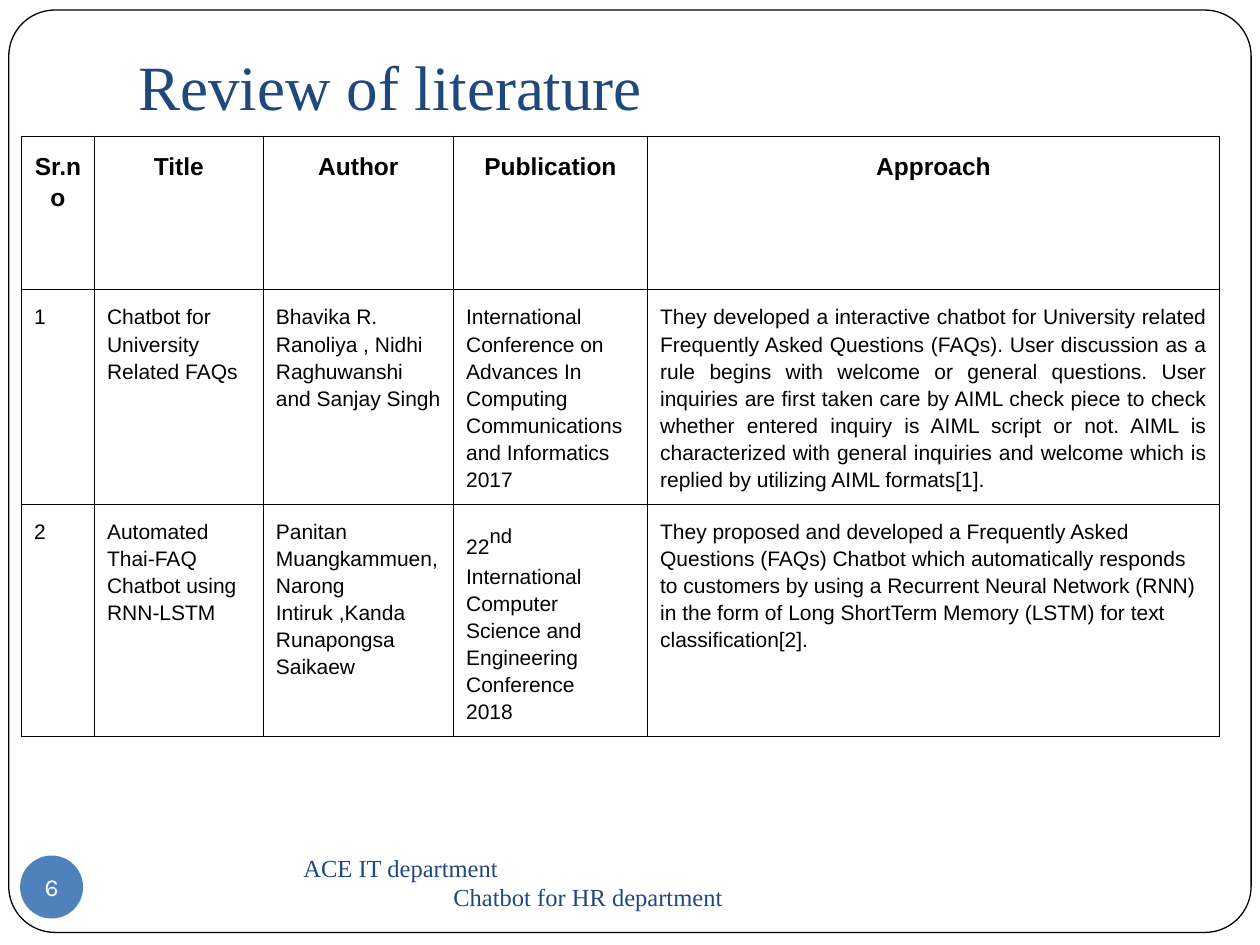
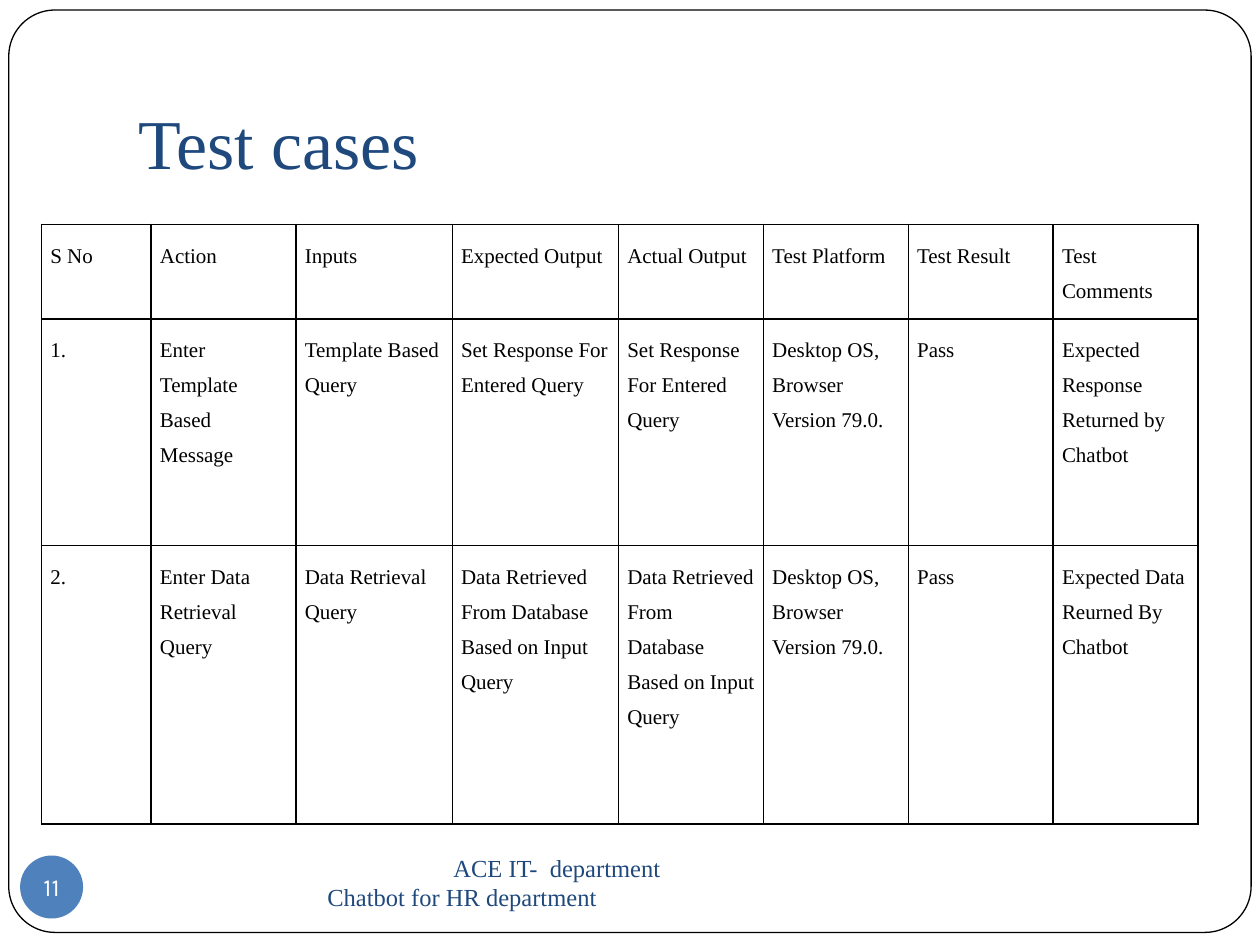
from lxml import etree
from pptx import Presentation
from pptx.dml.color import RGBColor
from pptx.enum.shapes import MSO_SHAPE
from pptx.enum.text import MSO_ANCHOR, MSO_AUTO_SIZE, PP_ALIGN
from pptx.oxml.ns import qn
from pptx.util import Inches, Pt

LEFT, CENTER, JUSTIFY = PP_ALIGN.LEFT, PP_ALIGN.CENTER, PP_ALIGN.JUSTIFY
TOP, MIDDLE, BOTTOM = MSO_ANCHOR.TOP, MSO_ANCHOR.MIDDLE, MSO_ANCHOR.BOTTOM
ROUNDED, OVAL = MSO_SHAPE.ROUNDED_RECTANGLE, MSO_SHAPE.OVAL
NO_AUTOFIT = MSO_AUTO_SIZE.NONE

COLORS = {"navy": "1F497D", "badge": "4F81BD", "black": "000000", "white": "FFFFFF"}
SERIF, SANS, BADGE_FONT = "Times New Roman", "Arial", "Karla"

FRAME_BOX = (0.07, 0.08, 9.86, 7.32)
FOOTER_BOX = (1.5, 6.75, 5.33, 0.5)
BADGE_BOX = (0.16, 6.79, 0.5, 0.5)

LITERATURE = {
    "widths": (0.58, 1.34, 1.51, 1.54, 4.54),
    "heights": (1.22, 1.42, 1.55),
    "rows": [
        ["Sr.no", "Title", "Author", "Publication", "Approach"],
        ["1", "Chatbot for University Related FAQs",
         "Bhavika R. Ranoliya , Nidhi Raghuwanshi and Sanjay Singh",
         "International Conference on Advances In Computing Communications "
         "and Informatics 2017",
         "They developed a interactive chatbot for University related Frequently "
         "Asked Questions (FAQs). User discussion as a rule begins with welcome or "
         "general questions. User inquiries are first taken care by AIML check piece "
         "to check whether entered inquiry is AIML script or not. AIML is "
         "characterized with general inquiries and welcome which is replied by "
         "utilizing AIML formats[1]."],
        ["2", "Automated Thai-FAQ Chatbot using RNN-LSTM",
         "Panitan Muangkammuen,Narong Intiruk ,Kanda Runapongsa Saikaew",
         "22^nd^  International Computer Science and Engineering Conference\n2018",
         "They proposed and developed a Frequently Asked Questions (FAQs) Chatbot "
         "which automatically responds to customers by using a Recurrent Neural "
         "Network (RNN) in the form of Long ShortTerm Memory (LSTM) for text "
         "classification[2]."],
    ],
}

PLATFORM = "Desktop OS,\nBrowser  Version 79.0."
TEMPLATE_OUTPUT = "Set Response For Entered Query"
RETRIEVAL_OUTPUT = "Data Retrieved From Database Based on Input Query"
TEST_CASES = {
    "widths": (0.87, 1.15, 1.24, 1.32, 1.15, 1.15, 1.15, 1.15),
    "heights": (0.75, 1.8, 2.21),
    "rows": [
        ["S No", "Action", "Inputs", "Expected Output", "Actual Output",
         "Test Platform", "Test Result", "Test Comments"],
        ["1.", "Enter Template Based Message", "Template Based Query",
         TEMPLATE_OUTPUT, TEMPLATE_OUTPUT, PLATFORM, "Pass",
         "Expected Response Returned by Chatbot"],
        ["2.", "Enter Data Retrieval Query", "Data Retrieval Query",
         RETRIEVAL_OUTPUT, RETRIEVAL_OUTPUT, PLATFORM, "Pass",
         "Expected Data Reurned By Chatbot"],
    ],
}


def rgb(name):
    return RGBColor.from_string(COLORS[name])


def inches(box):
    return [Inches(length) for length in box]


def write(frame, text, font=SERIF, size=14, color="navy", bold=False, align=LEFT,
          spacing=None, indents=(), raised_size=20):
    """Write one paragraph per line; text between carets is superscript."""
    for i, line in enumerate(text.split("\n")):
        paragraph = frame.paragraphs[0] if i == 0 else frame.add_paragraph()
        paragraph.alignment = align
        if spacing:
            paragraph.line_spacing = spacing
        if indents:
            paragraph._p.get_or_add_pPr().set("marL", str(Inches(indents[i])))
        for j, part in enumerate(line.split("^")):
            raised = j % 2 == 1
            run = paragraph.add_run()
            run.text = part
            run.font.name, run.font.bold = font, bold
            run.font.size = Pt(raised_size if raised else size)
            run.font.color.rgb = rgb(color)
            if raised:
                run._r.get_or_add_rPr().set("baseline", "30000")


def set_frame(frame, anchor, left=0.1, top=0.05, right=0.1, bottom=0.05):
    frame.word_wrap = True
    frame.auto_size = NO_AUTOFIT
    frame.vertical_anchor = anchor
    frame.margin_left, frame.margin_top = Inches(left), Inches(top)
    frame.margin_right, frame.margin_bottom = Inches(right), Inches(bottom)


def add_master_frame(prs, slide):
    """Put the rounded page outline on the master, behind every slide."""
    outline = slide.shapes.add_shape(ROUNDED, *inches(FRAME_BOX))
    outline.adjustments[0] = 0.05
    outline.shadow.inherit = False
    outline.fill.solid()
    outline.fill.fore_color.rgb = rgb("white")
    outline.line.color.rgb = rgb("black")
    outline.line.width = Pt(0.75)
    prs.slide_master.shapes._spTree.insert(2, outline._element)


def add_title(slide, text, box, size):
    title = slide.shapes.title
    title.left, title.top, title.width, title.height = inches(box)
    set_frame(title.text_frame, BOTTOM, bottom=0.1)
    write(title.text_frame, text, size=size)


def add_footer(slide, text, indents, page):
    # Department lines
    footer = slide.shapes.add_textbox(*inches(FOOTER_BOX)).text_frame
    set_frame(footer, MIDDLE)
    write(footer, text, indents=indents)

    # Page number badge
    badge = slide.shapes.add_shape(OVAL, *inches(BADGE_BOX))
    badge.shadow.inherit = False
    badge.fill.solid()
    badge.fill.fore_color.rgb = rgb("badge")
    badge.line.fill.background()
    set_frame(badge.text_frame, MIDDLE, 0, 0, 0, 0)
    write(badge.text_frame, str(page), font=BADGE_FONT, color="white", align=CENTER)


def set_borders(cell, width):
    properties = cell._tc.get_or_add_tcPr()
    for i, side in enumerate(("lnL", "lnR", "lnT", "lnB")):
        line = etree.Element(qn(f"a:{side}"), w=str(Pt(width)))
        fill = etree.SubElement(line, qn("a:solidFill"))
        etree.SubElement(fill, qn("a:srgbClr"), val=COLORS["black"])
        properties.insert(i, line)


def add_grid(slide, content, left, top, margin, border, cell_format):
    """Draw a ruled table; cell_format(row, column) gives the text format."""
    widths, heights, rows = content["widths"], content["heights"], content["rows"]
    box = inches((left, top, sum(widths), sum(heights)))
    table = slide.shapes.add_table(len(rows), len(widths), *box).table
    table.first_row = table.horz_banding = False
    for column, width in zip(table.columns, widths):
        column.width = Inches(width)
    for r, texts in enumerate(rows):
        table.rows[r].height = Inches(heights[r])
        for c, text in enumerate(texts):
            cell = table.cell(r, c)
            cell.margin_left = cell.margin_right = Inches(margin)
            cell.margin_top = cell.margin_bottom = Inches(margin)
            cell.vertical_anchor = TOP
            cell.fill.background()
            set_borders(cell, border)
            write(cell.text_frame, text, color="black", **cell_format(r, c))


def literature_format(row, column):
    style = {"font": SANS, "size": 12, "spacing": 1.15}
    if row == 0:
        style.update(size=14, bold=True, align=CENTER)
    elif (row, column) == (1, 4):
        style["align"] = JUSTIFY
    return style


def test_case_format(row, column):
    return {"size": 12, "spacing": 1.5}


def build_literature(slide):
    add_title(slide, "Review of literature", (1, 0.3, 8.5, 0.78), 36)
    add_footer(slide, "ACE IT department\nChatbot for HR department", (0.81, 2), 6)
    add_grid(slide, LITERATURE, 0.17, 1.08, 0.1, 0.75, literature_format)


def build_test_cases(slide):
    add_title(slide, "Test cases", (1, 0.31, 8.5, 1.25), 40)
    add_footer(slide, "ACE IT-  department\nChatbot for HR department", (2, 1), 11)
    add_grid(slide, TEST_CASES, 0.33, 1.78, 0.07, 1, test_case_format)


def main():
    prs = Presentation()
    prs.slide_width, prs.slide_height = Inches(10), Inches(7.5)
    title_only = prs.slide_layouts[5]
    literature = prs.slides.add_slide(title_only)
    add_master_frame(prs, literature)
    build_literature(literature)
    build_test_cases(prs.slides.add_slide(title_only))
    prs.save("out.pptx")


if __name__ == "__main__":
    main()
